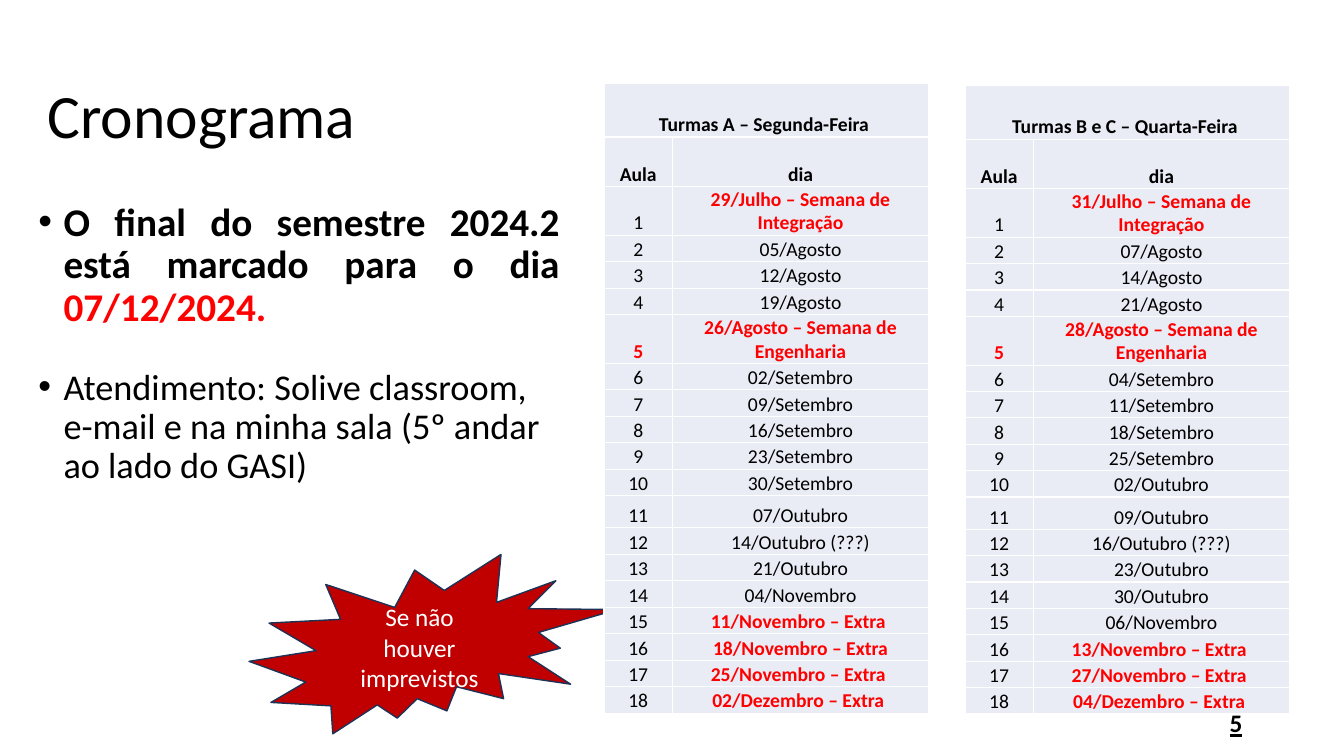
from lxml import etree
from pptx import Presentation
from pptx.dml.color import RGBColor
from pptx.enum.shapes import MSO_SHAPE
from pptx.enum.text import MSO_ANCHOR, MSO_AUTO_SIZE, PP_ALIGN
from pptx.oxml.ns import qn
from pptx.util import Inches, Pt

LEFT, MID, RIGHT, JUST = PP_ALIGN.LEFT, PP_ALIGN.CENTER, PP_ALIGN.RIGHT, PP_ALIGN.JUSTIFY
TOP, CENTER, BOTTOM = MSO_ANCHOR.TOP, MSO_ANCHOR.MIDDLE, MSO_ANCHOR.BOTTOM
FIXED = MSO_AUTO_SIZE.NONE
SEAL = MSO_SHAPE.EXPLOSION2
BLACK, RED, WHITE = "000000", "FF0000", "FFFFFF"
DARK, NAVY, PALE = "C00000", "1E3256", "E9EBF5"

TITLE = "Cronograma"
PAGE = "5"
NOTE = "Se não houver imprevistos"
FINAL = [("O final do semestre 2024.2 está marcado para o dia ", BLACK), ("07/12/2024.", RED)]
HELP = [("Atendimento: Solive classroom, e-mail e na minha sala (5º andar ao lado do GASI)", BLACK)]
HEADS = ("Aula", "dia")
BREAK = "5"
CLASSES = [
    ("Turmas A – Segunda-Feira ", 5.99, 0.83, 6.24, [
        "29/Julho – Semana de Integração", "05/Agosto", "12/Agosto", "19/Agosto",
        "26/Agosto – Semana de Engenharia", "02/Setembro", "09/Setembro", "16/Setembro",
        "23/Setembro", "30/Setembro", "07/Outubro", "14/Outubro (???)", "21/Outubro",
        "04/Novembro", "11/Novembro – Extra ", "18/Novembro – Extra",
        "25/Novembro – Extra ", "02/Dezembro – Extra "]),
    ("Turmas B e C – Quarta-Feira ", 9.57, 0.85, 6.23, [
        "31/Julho – Semana de Integração", "07/Agosto", "14/Agosto", "21/Agosto",
        "28/Agosto – Semana de Engenharia", "04/Setembro", "11/Setembro", "18/Setembro",
        "25/Setembro", "02/Outubro", "09/Outubro", "16/Outubro (???)", "23/Outubro",
        "30/Outubro", "06/Novembro", "13/Novembro – Extra ",
        "27/Novembro – Extra ", "04/Dezembro – Extra "]),
]
COLS = (0.68, 2.54)
TALL = {0: 0.53, 1: 0.49, 2: 0.48, 6: 0.48, 12: 0.32}


def color(code):
    return RGBColor.from_string(code)


def place(shape, left, top, width, height):
    shape.left, shape.top = Inches(left), Inches(top)
    shape.width, shape.height = Inches(width), Inches(height)


def write(frame, runs, size, align, anchor, bold=False):
    frame.word_wrap = True
    frame.auto_size = FIXED
    frame.vertical_anchor = anchor
    para = frame.paragraphs[0]
    style(para, size, align, bold)
    for text, code in runs:
        run = para.add_run()
        run.text = text
        run.font.color.rgb = color(code)
    return para


def style(para, size, align, bold):
    para.alignment = align
    para.font.name = "Calibri"
    para.font.size = Pt(size)
    para.font.bold = bold


def item(shape, box, runs, size, align, bold):
    place(shape, *box)
    para = write(shape.text_frame, runs, size, align, TOP, bold)
    para.line_spacing = 0.9
    para.space_before = Pt(10)
    props = para._p.get_or_add_pPr()
    props.set("marL", str(Inches(0.25)))
    props.set("indent", str(Inches(-0.25)))


def edge(cell):
    props = cell._tc.get_or_add_tcPr()
    for side in ("lnL", "lnR", "lnT", "lnB"):
        line = etree.SubElement(props, qn("a:" + side), w=str(Pt(1)))
        fill = etree.SubElement(line, qn("a:solidFill"))
        etree.SubElement(fill, qn("a:srgbClr"), val=WHITE)


def put(cell, text, head):
    hot = not head and ("–" in text or text == BREAK)
    edge(cell)
    cell.fill.solid()
    cell.fill.fore_color.rgb = color(PALE)
    cell.vertical_anchor = BOTTOM
    cell.margin_left = cell.margin_right = cell.margin_top = Inches(0.01)
    cell.margin_bottom = 0
    cell.text = text
    para = cell.text_frame.paragraphs[0]
    style(para, 14, MID, head or hot)
    para.font.color.rgb = color(RED if hot else BLACK)


def schedule(shapes, name, left, top, height, days):
    rows = [(name, ""), HEADS] + [(str(n), day) for n, day in enumerate(days, 1)]
    table = shapes.add_table(len(rows), len(COLS), Inches(left), Inches(top),
                             Inches(sum(COLS)), Inches(height)).table
    table.first_row = table.horz_banding = False
    for col, width in zip(table.columns, COLS):
        col.width = Inches(width)
    short = (height - sum(TALL.values())) / (len(rows) - len(TALL))
    for r, row in enumerate(rows):
        table.rows[r].height = Inches(TALL.get(r, short))
        for c, text in enumerate(row):
            put(table.cell(r, c), text, r < 2)
    table.cell(0, 0).merge(table.cell(0, 1))


def main():
    deck = Presentation()
    deck.slide_width, deck.slide_height = Inches(13.33), Inches(7.5)
    slide = deck.slides.add_slide(deck.slide_layouts[3])
    shapes = slide.shapes
    title, first, second = list(slide.placeholders)[:3]

    place(title, 0.37, 0.45, 11.5, 1.45)
    write(title.text_frame, [(TITLE, BLACK)], 44, LEFT, CENTER).line_spacing = 0.9
    item(first, (0.28, 1.96, 5.37, 1.45), FINAL, 28, JUST, True)
    item(second, (0.28, 3.61, 5.28, 1.33), HELP, 25.9, LEFT, False)
    for spare in list(slide.placeholders)[3:]:
        spare.element.getparent().remove(spare.element)

    seal = shapes.add_shape(SEAL, Inches(2.47), Inches(5.5), Inches(3.65), Inches(1.78))
    seal.shadow.inherit = False
    seal.fill.solid()
    seal.fill.fore_color.rgb = color(DARK)
    seal.line.color.rgb = color(NAVY)
    seal.line.width = Pt(1)
    write(seal.text_frame, [(NOTE, WHITE)], 18, MID, CENTER)

    for group in CLASSES:
        schedule(shapes, *group)

    page = shapes.add_textbox(Inches(9.42), Inches(6.97), Inches(3), Inches(0.4))
    write(page.text_frame, [(PAGE, BLACK)], 18, RIGHT, CENTER, True).font.underline = True
    deck.save("out.pptx")


if __name__ == "__main__":
    main()
